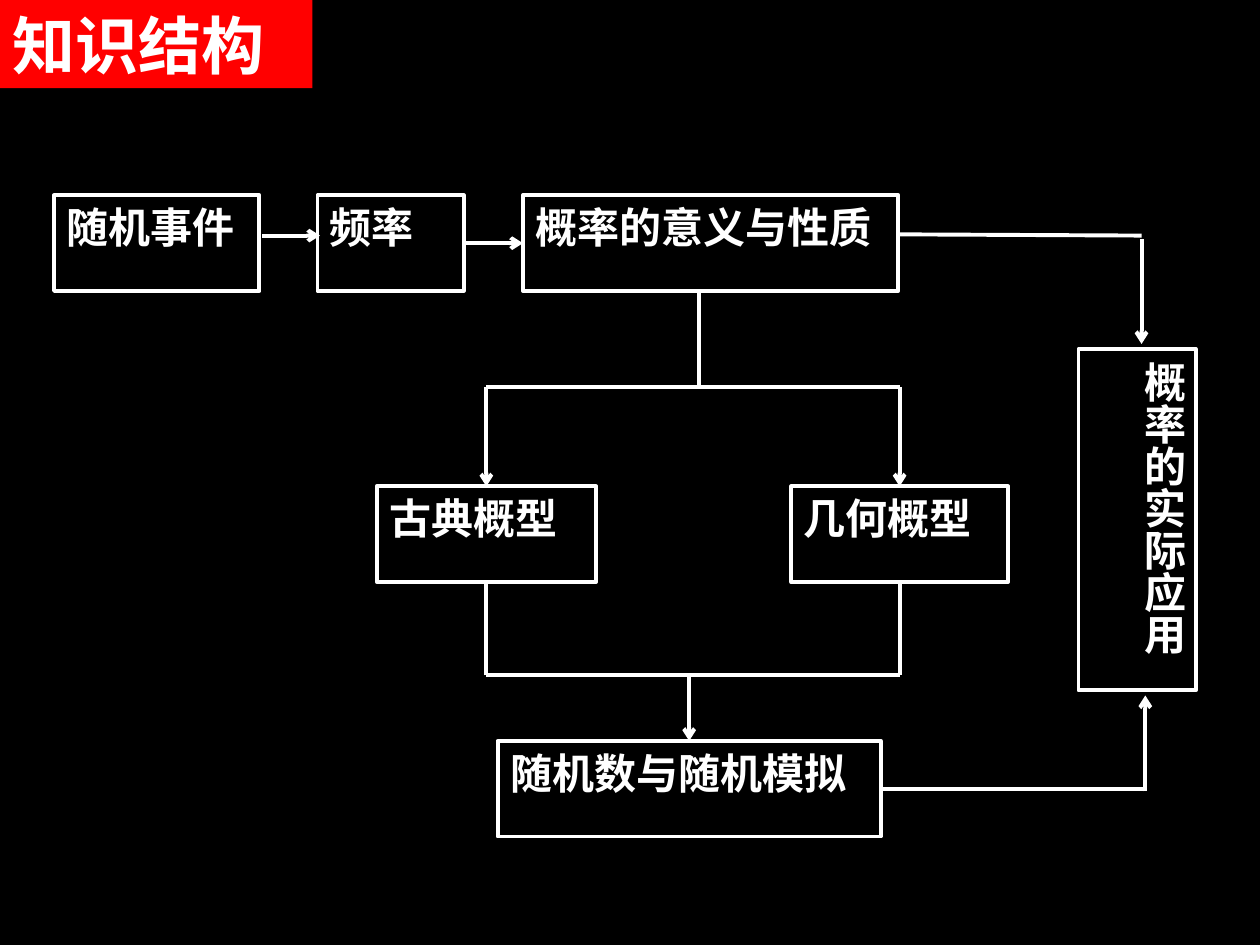
from lxml.etree import SubElement
from pptx import Presentation
from pptx.dml.color import RGBColor
from pptx.enum.shapes import MSO_CONNECTOR, MSO_SHAPE
from pptx.enum.text import MSO_ANCHOR, PP_ALIGN
from pptx.oxml.ns import qn
from pptx.util import Inches, Pt

WHITE = RGBColor(0xFF, 0xFF, 0xFF)
BLACK = RGBColor(0, 0, 0)
RED = RGBColor(0xFF, 0, 0)


def put(shape, text, size=24, font="Times New Roman", align=PP_ALIGN.JUSTIFY,
        color=WHITE, upright=False):
    """Write one bold paragraph into a shape."""
    frame = shape.text_frame
    frame.word_wrap = True
    frame.vertical_anchor = MSO_ANCHOR.TOP
    if upright:
        frame.margin_left = frame.margin_right = Inches(0.05)
        frame.margin_top = frame.margin_bottom = Inches(0.1)
        frame._txBody.bodyPr.set("vert", "eaVert")
    para = frame.paragraphs[0]
    para.alignment = align
    run = para.add_run()
    run.text = text
    run.font.name = font
    run.font.size = Pt(size)
    run.font.bold = True
    run.font.color.rgb = color


class Chart:
    """Style and current slide of the flow chart."""
    color = WHITE
    width = Pt(2.25)

    def __init__(self, slide):
        self.slide = slide
        fill = slide.background.fill
        fill.solid()
        fill.fore_color.rgb = BLACK

    def rect(self, x, y, w, h):
        shape = self.slide.shapes.add_shape(
            MSO_SHAPE.RECTANGLE, Inches(x), Inches(y), Inches(w), Inches(h))
        shape.shadow.inherit = False
        return shape

    def title(self, text, w, h):
        shape = self.rect(0, 0, w, h)
        shape.fill.solid()
        shape.fill.fore_color.rgb = RED
        shape.line.fill.background()
        put(shape, text, size=36, font="Arial", align=PP_ALIGN.LEFT)

    def box(self, text, x, y, w, h=0.76, **form):
        shape = self.rect(x, y, w, h)
        shape.fill.background()
        shape.line.color.rgb = self.color
        shape.line.width = self.width
        put(shape, text, **form)
        return shape

    def line(self, start, end, arrow=False, source=None, target=None):
        """Draw a line; source and target are (box, side) pairs to join."""
        link = self.slide.shapes.add_connector(
            MSO_CONNECTOR.STRAIGHT, *map(Inches, start + end))
        link.line.color.rgb = self.color
        link.line.width = self.width
        if arrow:
            SubElement(link.line._get_or_add_ln(), qn("a:tailEnd"), type="arrow")
        SubElement(link._element.spPr, qn("a:effectLst"))
        if source:
            link.begin_connect(*source)
        if target:
            link.end_connect(*target)


def main():
    deck = Presentation()
    deck.slide_width, deck.slide_height = Inches(10), Inches(7.5)
    chart = Chart(deck.slides.add_slide(deck.slide_layouts[6]))
    chart.title("知识结构", 2.48, 0.7)

    # Boxes, row by row
    top, mid, low = 1.55, 3.86, 5.88
    chart.box("随机事件", 0.43, top, 1.63)
    rate = chart.box("频率", 2.52, top, 1.16)
    sense = chart.box("概率的意义与性质", 4.15, top, 2.98)
    models = [chart.box("古典概型", 2.99, mid, 1.74),
              chart.box("几何概型", 6.28, mid, 1.72)]
    random = chart.box("随机数与随机模拟", 3.95, low, 3.04)
    chart.box("概率的实际应用", 8.56, 2.77, 0.93, 2.71, upright=True)

    # Top row
    chart.line((2.08, 1.87), (2.54, 1.87), arrow=True)
    chart.line((3.68, 1.93), (4.15, 1.93), arrow=True,
               source=(rate, 3), target=(sense, 1))

    # Fork to the two models and back together
    fork, merge = 3.07, 5.36
    chart.line((5.55, 2.31), (5.55, fork))
    chart.line((3.86, fork), (7.14, fork))
    chart.line((3.86, merge), (7.14, merge))
    for x, model in zip((3.86, 7.14), models):
        chart.line((x, fork), (x, mid), arrow=True, target=(model, 0))
        chart.line((x, merge), (x, mid + 0.76), target=(model, 2))
    chart.line((5.47, merge), (5.47, low), arrow=True, target=(random, 0))

    # Right side, into the applications
    chart.line((7.13, 1.86), (9.06, 1.87))
    chart.line((9.06, 1.9), (9.06, 2.73), arrow=True)
    chart.line((6.99, 6.26), (9.1, 6.26), source=(random, 3))
    chart.line((9.09, 6.28), (9.09, 5.52), arrow=True)

    deck.save("out.pptx")


if __name__ == "__main__":
    main()
